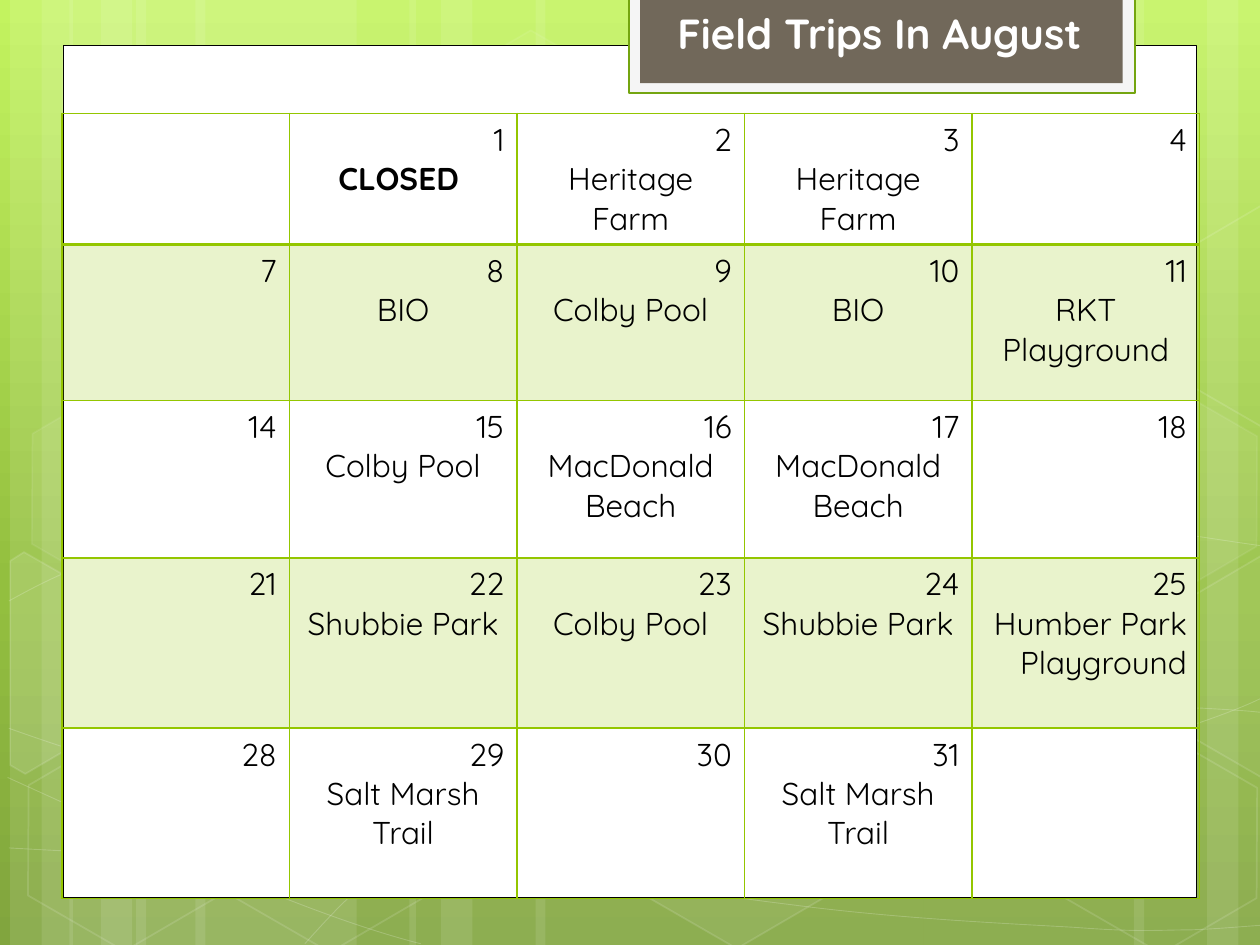
from copy import deepcopy
from dataclasses import dataclass
from math import cos, radians, sin
from typing import NamedTuple, Optional

from lxml.etree import SubElement
from pptx import Presentation
from pptx.dml.color import RGBColor
from pptx.enum.shapes import MSO_SHAPE
from pptx.enum.text import MSO_ANCHOR, MSO_AUTO_SIZE, PP_ALIGN
from pptx.oxml.ns import qn
from pptx.util import Emu, Pt

EMU_PER_PX = 9144
SLIDE_WIDTH, SLIDE_HEIGHT = 1000, 750
TILT = 30


@dataclass(frozen=True)
class Theme:
    font: str = "Quicksand"
    title_size: int = 24
    body_size: int = 18
    white: str = "FFFFFF"
    black: str = "000000"
    grid: str = "94C600"
    banner: str = "71685A"
    banner_rim: str = "F5F5F5"
    banner_line: str = "74A510"
    sky: tuple = ((0, "C3F35F"), (0.62, "93BF3F"), (1, "81A53E"))


THEME = Theme()


class Box(NamedTuple):
    left: int
    top: int
    width: int
    height: int


class Paint(NamedTuple):
    fill: Optional[str] = None
    fill_alpha: int = 100
    line: Optional[str] = None
    line_width: float = 1
    line_alpha: int = 100


class Band(NamedTuple):
    left: int
    width: int


class Hexagon(NamedTuple):
    left: int
    top: int
    fill_alpha: int
    line_alpha: int


class Polygon(NamedTuple):
    center: tuple
    points: tuple
    fill_alpha: int


BANDS = [Band(*values) for values in (
    (108, 175), (8, 50), (33, 83), (155, 175), (55, 50), (80, 83),
    (733, 175), (958, 50), (900, 83), (425, 308), (325, 50), (350, 83))]

CURVES = (
    ((7, 673), (61, 676), (115, 679), (190, 678), (265, 677), (358, 675), (458, 665),
     (558, 655), (700, 636), (792, 617), (883, 598), (977, 568), (1007, 551)),
    ((7, 477), (36, 461), (65, 446), (121, 431), (178, 416), (259, 394), (347, 387),
     (436, 380), (544, 379), (654, 387), (764, 395), (947, 426), (1007, 434)),
    ((6, 617), (127, 672), (247, 727), (334, 749)),
    ((7, 578), (38, 589), (70, 600), (128, 616), (186, 631), (273, 656), (357, 673),
     (440, 690), (545, 708), (628, 718), (711, 729), (800, 733), (853, 736),
     (905, 740), (919, 738), (945, 738), (971, 737), (989, 735), (1007, 734)),
    ((242, 749), (260, 729), (278, 709), (302, 691), (326, 673), (360, 653), (388, 639),
     (416, 625), (433, 619), (470, 609), (506, 599), (573, 585), (608, 578),
     (644, 571), (649, 571), (680, 569), (711, 566), (760, 563), (794, 562),
     (829, 561), (886, 562), (886, 562), (908, 562), (931, 562), (953, 562),
     (971, 563), (988, 564), (997, 565), (1006, 566), (1003, 565), (1006, 566)),
)

HEXAGONS = [Hexagon(*values) for values in (
    (334, 36, 4, 8), (497, 589, 6, 12), (11, 591, 0, 12), (14, 312, 7, 8),
    (174, 592, 0, 12), (753, 453, 10, 12), (834, 593, 0, 12), (834, 314, 7, 8))]

POLYGONS = (
    Polygon((36, 535), ((8, 445), (19, 438), (96, 482), (95, 570), (20, 614), (8, 607)), 10),
    Polygon((985, 520), ((926, 485), (1001, 441), (1009, 446), (1009, 613), (1002, 617),
                         (926, 573)), 4),
    Polygon((985, 241), ((926, 207), (1001, 163), (1010, 168), (1009, 335), (1002, 339),
                         (926, 295)), 0),
)

CARD = Box(50, 36, 900, 676)
BANNER_RIM = Box(499, -2, 402, 76)
BANNER = Box(508, -2, 383, 68)
TITLE = Box(511, 1, 374, 50)
CALENDAR = Box(49, 90, 903, 623)
WEEK_HEIGHTS = (104, 124, 125, 135, 135)
WEEKDAYS = 5
LAST_DAY = 31
CLOSED_DAY = 1
RIGHT_ALIGNED_DAY = 25
TRIPS = {
    1: "CLOSED ", 2: "Heritage Farm", 3: "Heritage Farm",
    8: "BIO", 9: "Colby Pool", 10: "BIO", 11: "RKT Playground",
    15: "Colby Pool", 16: "MacDonald Beach", 17: "MacDonald Beach",
    22: "Shubbie Park", 23: "Colby Pool", 24: "Shubbie Park",
    25: "Humber Park Playground", 29: "Salt Marsh Trail", 31: "Salt Marsh Trail",
}


def px(value: float) -> Emu:
    return Emu(round(value * EMU_PER_PX))


def place(box: Box) -> tuple:
    return tuple(px(value) for value in box)


def set_alpha(parent, percent: int) -> None:
    if percent < 100:
        color = parent.find(f"{qn('a:solidFill')}/{qn('a:srgbClr')}")
        SubElement(color, qn("a:alpha"), val=str(percent * 1000))


def paint_shape(shape, paint: Paint) -> None:
    shape.shadow.inherit = False
    properties = shape.element.spPr
    if paint.fill and paint.fill_alpha:
        shape.fill.solid()
        shape.fill.fore_color.rgb = RGBColor.from_string(paint.fill)
        set_alpha(properties, paint.fill_alpha)
    else:
        shape.fill.background()
    if paint.line:
        shape.line.color.rgb = RGBColor.from_string(paint.line)
        shape.line.width = Pt(paint.line_width)
        set_alpha(properties.find(qn("a:ln")), paint.line_alpha)
    else:
        shape.line.fill.background()


def add_rectangle(slide, box: Box, paint: Paint) -> None:
    paint_shape(slide.shapes.add_shape(MSO_SHAPE.RECTANGLE, *place(box)), paint)


def add_hexagon(slide, hexagon: Hexagon) -> None:
    box = Box(hexagon.left, hexagon.top, 175, 152)
    shape = slide.shapes.add_shape(MSO_SHAPE.HEXAGON, *place(box))
    shape.adjustments[0] = 0.285
    shape.rotation = TILT
    paint_shape(shape, Paint(THEME.white, hexagon.fill_alpha, THEME.white, 1, hexagon.line_alpha))


def add_outline(slide, points, paint: Paint, close: bool):
    start, *others = [(px(x), px(y)) for x, y in points]
    builder = slide.shapes.build_freeform(*start)
    builder.add_line_segments(others, close=close)
    shape = builder.convert_to_shape()
    paint_shape(shape, paint)
    return shape


def add_curve(slide, knots) -> None:
    shape = add_outline(slide, knots, Paint(None, 0, THEME.white, 0.5, 20), False)
    outline = shape.element.find(f".//{qn('a:pathLst')}")[0]
    segments = outline.findall(qn("a:lnTo"))
    for index in range(0, len(segments), 3):
        bezier = SubElement(outline, qn("a:cubicBezTo"))
        for segment in segments[index:index + 3]:
            bezier.append(segment[0])
            outline.remove(segment)


def add_polygon(slide, polygon: Polygon) -> None:
    center_x, center_y = polygon.center
    cosine, sine = cos(radians(TILT)), sin(radians(TILT))
    offsets = [(x - center_x, y - center_y) for x, y in polygon.points]
    points = [(center_x + x * cosine + y * sine, center_y - x * sine + y * cosine)
              for x, y in offsets]
    paint = Paint(THEME.white, polygon.fill_alpha, THEME.white, 1, 12)
    add_outline(slide, points, paint, True).rotation = TILT


def write_text(paragraph, text: str, *, size: int, color: str, align, bold: bool = False) -> None:
    paragraph.alignment = align
    run = paragraph.add_run()
    run.text = text
    run.font.name = THEME.font
    run.font.size = Pt(size)
    run.font.bold = bold
    run.font.color.rgb = RGBColor.from_string(color)


def paint_background(slide) -> None:
    fill = slide.background.fill
    fill.gradient()
    fill.gradient_angle = 270
    stop_list = slide.element.find(f".//{qn('a:gsLst')}")
    stop_list.append(deepcopy(stop_list[0]))
    for stop, (position, color) in zip(fill.gradient_stops, THEME.sky):
        stop.position = position
        stop.color.rgb = RGBColor.from_string(color)


def format_cell(cell, week: int) -> None:
    properties = cell._tc.get_or_add_tcPr()
    if week % 2:
        cell.fill.solid()
        cell.fill.fore_color.rgb = RGBColor.from_string(THEME.grid)
        set_alpha(properties, 20)
    else:
        cell.fill.background()
    widths = {"lnL": 1, "lnR": 1, "lnT": 2 if week == 1 else 1, "lnB": 2 if week == 0 else 1}
    for index, (side, width) in enumerate(widths.items()):
        border = SubElement(properties, qn(f"a:{side}"), w=str(Pt(width)))
        SubElement(SubElement(border, qn("a:solidFill")), qn("a:srgbClr"), val=THEME.grid)
        properties.insert(index, border)


def add_calendar(slide) -> None:
    table = slide.shapes.add_table(len(WEEK_HEIGHTS), WEEKDAYS, *place(CALENDAR)).table
    table.first_row = table.horz_banding = False
    style = {"size": THEME.body_size, "color": THEME.black}
    for week, height in enumerate(WEEK_HEIGHTS):
        table.rows[week].height = px(height)
        for weekday in range(WEEKDAYS):
            cell = table.cell(week, weekday)
            format_cell(cell, week)
            day = 7 * week + weekday
            if 1 <= day <= LAST_DAY:
                write_text(cell.text_frame.paragraphs[0], str(day), align=PP_ALIGN.RIGHT, **style)
            if day in TRIPS:
                align = PP_ALIGN.RIGHT if day == RIGHT_ALIGNED_DAY else PP_ALIGN.CENTER
                write_text(cell.text_frame.add_paragraph(), TRIPS[day], align=align,
                           bold=day == CLOSED_DAY, **style)


def add_title(slide, text: str) -> None:
    title = slide.shapes.title
    title.left, title.top, title.width, title.height = place(TITLE)
    title.text_frame.auto_size = MSO_AUTO_SIZE.SHAPE_TO_FIT_TEXT
    title.text_frame.vertical_anchor = MSO_ANCHOR.TOP
    write_text(title.text_frame.paragraphs[0], text, size=THEME.title_size,
               color=THEME.white, align=PP_ALIGN.CENTER, bold=True)
    title.element.getparent().append(title.element)


def main() -> None:
    presentation = Presentation()
    presentation.slide_width, presentation.slide_height = px(SLIDE_WIDTH), px(SLIDE_HEIGHT)
    slide = presentation.slides.add_slide(presentation.slide_layouts[5])
    paint_background(slide)
    for band in BANDS:
        add_rectangle(slide, Box(band.left, 0, band.width, SLIDE_HEIGHT), Paint(THEME.white, 10))
    for knots in CURVES:
        add_curve(slide, knots)
    for hexagon in HEXAGONS:
        add_hexagon(slide, hexagon)
    for polygon in POLYGONS:
        add_polygon(slide, polygon)
    add_rectangle(slide, CARD, Paint(THEME.white, line=THEME.black, line_width=0.5))
    add_rectangle(slide, BANNER_RIM,
                  Paint(THEME.banner_rim, line=THEME.banner_line, line_width=1.25))
    add_rectangle(slide, BANNER, Paint(THEME.banner))
    add_title(slide, "Field Trips In August")
    add_calendar(slide)
    presentation.save("out.pptx")


if __name__ == "__main__":
    main()
